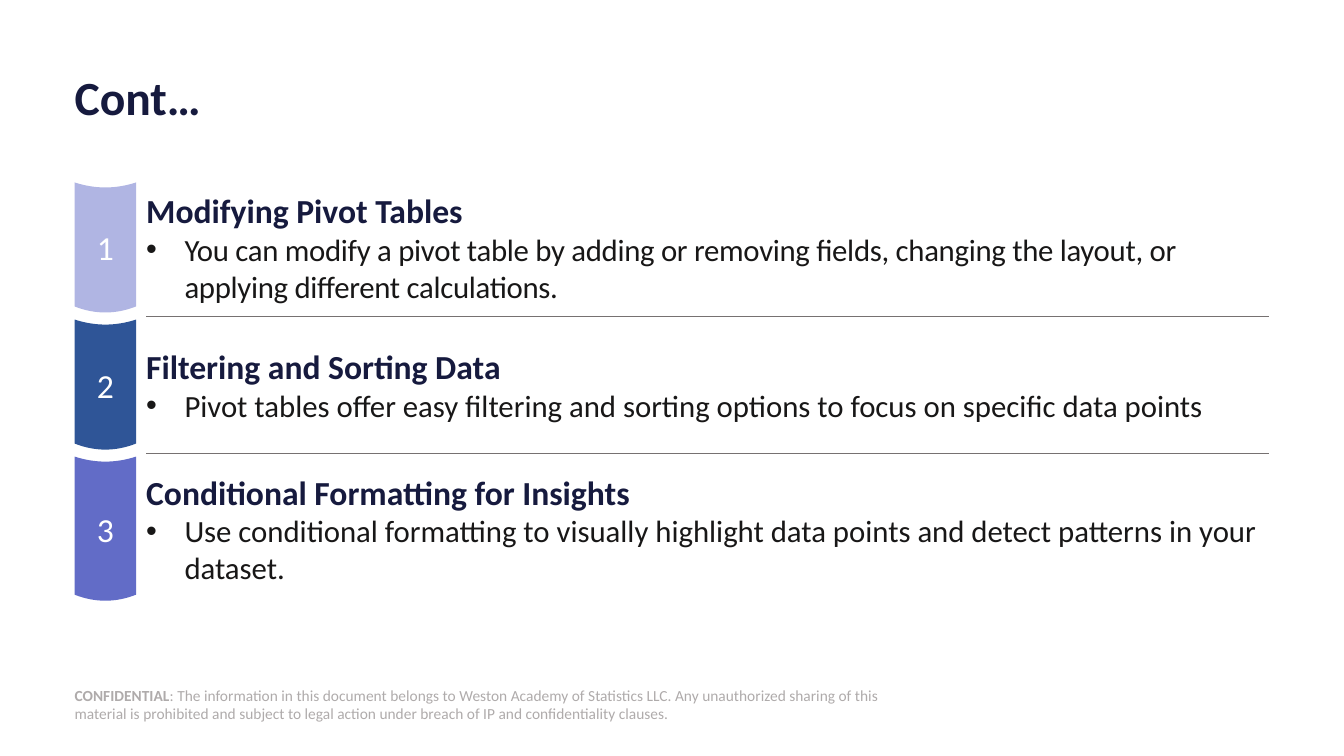
from dataclasses import dataclass

from lxml import etree
from pptx import Presentation
from pptx.dml.color import RGBColor
from pptx.enum.shapes import MSO_CONNECTOR
from pptx.enum.text import MSO_ANCHOR, MSO_AUTO_SIZE, PP_ALIGN
from pptx.oxml.ns import qn
from pptx.util import Pt

PX = 9144
STRAIGHT = MSO_CONNECTOR.STRAIGHT
MIDDLE = MSO_ANCHOR.MIDDLE
NO_FIT = MSO_AUTO_SIZE.NONE
LEFT, CENTER = PP_ALIGN.LEFT, PP_ALIGN.CENTER
COMPARISON = 4

FONT = "Calibri"
COLORS = {
    "white": "FFFFFF",
    "navy": "161A3E",
    "body": "181717",
    "rule": "767171",
    "notice": "AFABAB",
    "lilac": "B0B5E3",
    "blue": "2F5597",
    "violet": "626CC7",
}

MARGIN, RIGHT = 74, 1259
BAND_WIDTH = 61
TEXT_LEFT = 145
FIRST_TOP, PITCH = 181, 136
TEXT_DROP, TEXT_TRIM = 5, 10
RULE_DROP = 133
HANG = 38
TOP_SAG, BOTTOM_SAG = 5, 6


@dataclass
class Topic:
    heading: str
    detail: str
    color: str
    height: int = 129
    tracking: int = 0


TOPICS = [
    Topic(
        "Modifying Pivot Tables",
        "You can modify a pivot table by adding or removing fields, "
        "changing the layout, or applying different calculations.",
        "lilac",
        tracking=-20,
    ),
    Topic(
        "Filtering and Sorting Data",
        "Pivot tables offer easy filtering and sorting options "
        "to focus on specific data points",
        "blue",
    ),
    Topic(
        "Conditional Formatting for Insights",
        "Use conditional formatting to visually highlight data points "
        "and detect patterns in your dataset.",
        "violet",
        height=143,
    ),
]

NOTICE = [
    "CONFIDENTIAL",
    ": The information in this document belongs to Weston Academy of Statistics LLC. "
    "Any unauthorized sharing of this material is prohibited and subject to legal "
    "action under breach of IP and confidentiality clauses.",
]


def rgb(name: str) -> RGBColor:
    return RGBColor.from_string(COLORS[name])


def place(sp, left: int, top: int, width: int, height: int) -> None:
    sp.left, sp.top, sp.width, sp.height = (v * PX for v in (left, top, width, height))


def set_frame(tf) -> None:
    tf.word_wrap = True
    tf.auto_size = NO_FIT
    tf.vertical_anchor = MIDDLE
    tf.margin_left = tf.margin_top = tf.margin_right = tf.margin_bottom = 0


def style_run(r, size: int, color: str, bold: bool = False) -> None:
    r.font.name = FONT
    r.font.size = Pt(size)
    r.font.bold = bold
    r.font.color.rgb = rgb(color)


def set_bullet(p, char: str = "") -> None:
    p.alignment = LEFT
    p.space_before = p.space_after = Pt(0)
    pPr = p._p.get_or_add_pPr()
    indent = HANG * PX if char else 0
    pPr.set("marL", str(indent))
    pPr.set("indent", str(-indent))
    if char:
        etree.SubElement(pPr, qn("a:buFont")).set("typeface", "Arial")
        etree.SubElement(pPr, qn("a:buChar")).set("char", char)
    else:
        etree.SubElement(pPr, qn("a:buNone"))


def edge(y: int, sag: int) -> list[tuple[float, float]]:
    return [
        (MARGIN * PX, y * PX),
        ((MARGIN + BAND_WIDTH / 2) * PX, (y + sag) * PX),
        ((MARGIN + BAND_WIDTH) * PX, y * PX),
    ]


def bend(path, middle, end, sag: int) -> None:
    control = middle[0]
    control.set("y", str(int(control.get("y")) + sag * PX))
    middle.tag = qn("a:quadBezTo")
    middle.append(end[0])
    path.remove(end)


def add_band(s, number: int, topic: Topic, top: int) -> None:
    bottom_edge = top + topic.height - BOTTOM_SAG
    outline = edge(top, TOP_SAG) + edge(bottom_edge, BOTTOM_SAG)[::-1]
    builder = s.shapes.build_freeform(*outline[0])
    builder.add_line_segments(outline[1:], close=True)
    sp = builder.convert_to_shape()
    path = next(sp._element.iter(qn("a:path")))
    segments = list(path)
    bend(path, segments[1], segments[2], TOP_SAG)
    bend(path, segments[4], segments[5], BOTTOM_SAG)
    sp.shadow.inherit = False
    sp.fill.solid()
    sp.fill.fore_color.rgb = rgb(topic.color)
    sp.line.fill.background()
    tf = sp.text_frame
    set_frame(tf)
    tf.text = str(number)
    p = tf.paragraphs[0]
    p.alignment = CENTER
    style_run(p.runs[0], 24, "white")


def fill_topic(sp, topic: Topic, top: int) -> None:
    place(sp, TEXT_LEFT, top + TEXT_DROP, RIGHT - TEXT_LEFT, topic.height - TEXT_TRIM)
    tf = sp.text_frame
    set_frame(tf)
    tf.text = f"{topic.heading}\n{topic.detail}"
    heading, detail = tf.paragraphs
    set_bullet(heading)
    set_bullet(detail, "•")
    style_run(heading.runs[0], 24, "navy", True)
    style_run(detail.runs[0], 22, "body")
    if topic.tracking:
        detail.runs[0].font._element.set("spc", str(topic.tracking))


def add_rule(s, y: int) -> None:
    line = s.shapes.add_connector(STRAIGHT, TEXT_LEFT * PX, y * PX, RIGHT * PX, y * PX)
    line.line.color.rgb = rgb("rule")
    line.line.width = Pt(0.5)
    etree.SubElement(line._element.spPr, qn("a:effectLst"))


def add_notice(s) -> None:
    sp = s.shapes.add_textbox(0, 0, 0, 0)
    place(sp, MARGIN, 679, 817, 40)
    sp.fill.solid()
    sp.fill.fore_color.rgb = rgb("white")
    tf = sp.text_frame
    set_frame(tf)
    for i, text in enumerate(NOTICE):
        r = tf.paragraphs[0].add_run()
        r.text = text
        style_run(r, 11, "notice", i == 0)


def fill_title(sp) -> None:
    place(sp, MARGIN, 66, RIGHT - MARGIN, 67)
    tf = sp.text_frame
    set_frame(tf)
    tf.text = "Cont…"
    p = tf.paragraphs[0]
    p.alignment = LEFT
    p.line_spacing = 0.9
    style_run(p.runs[0], 34, "navy", True)


def main() -> None:
    prs = Presentation()
    prs.slide_width, prs.slide_height = 1333 * PX, 750 * PX
    s = prs.slides.add_slide(prs.slide_layouts[COMPARISON])
    title, *bodies = s.placeholders
    add_notice(s)
    fill_title(title)
    for i, (topic, body) in enumerate(zip(TOPICS, bodies)):
        top = FIRST_TOP + i * PITCH
        add_band(s, i + 1, topic, top)
        fill_topic(body, topic, top)
        if i < len(TOPICS) - 1:
            add_rule(s, top + RULE_DROP)
    for spare in bodies[len(TOPICS):]:
        spare._element.getparent().remove(spare._element)
    prs.save("out.pptx")


if __name__ == "__main__":
    main()
